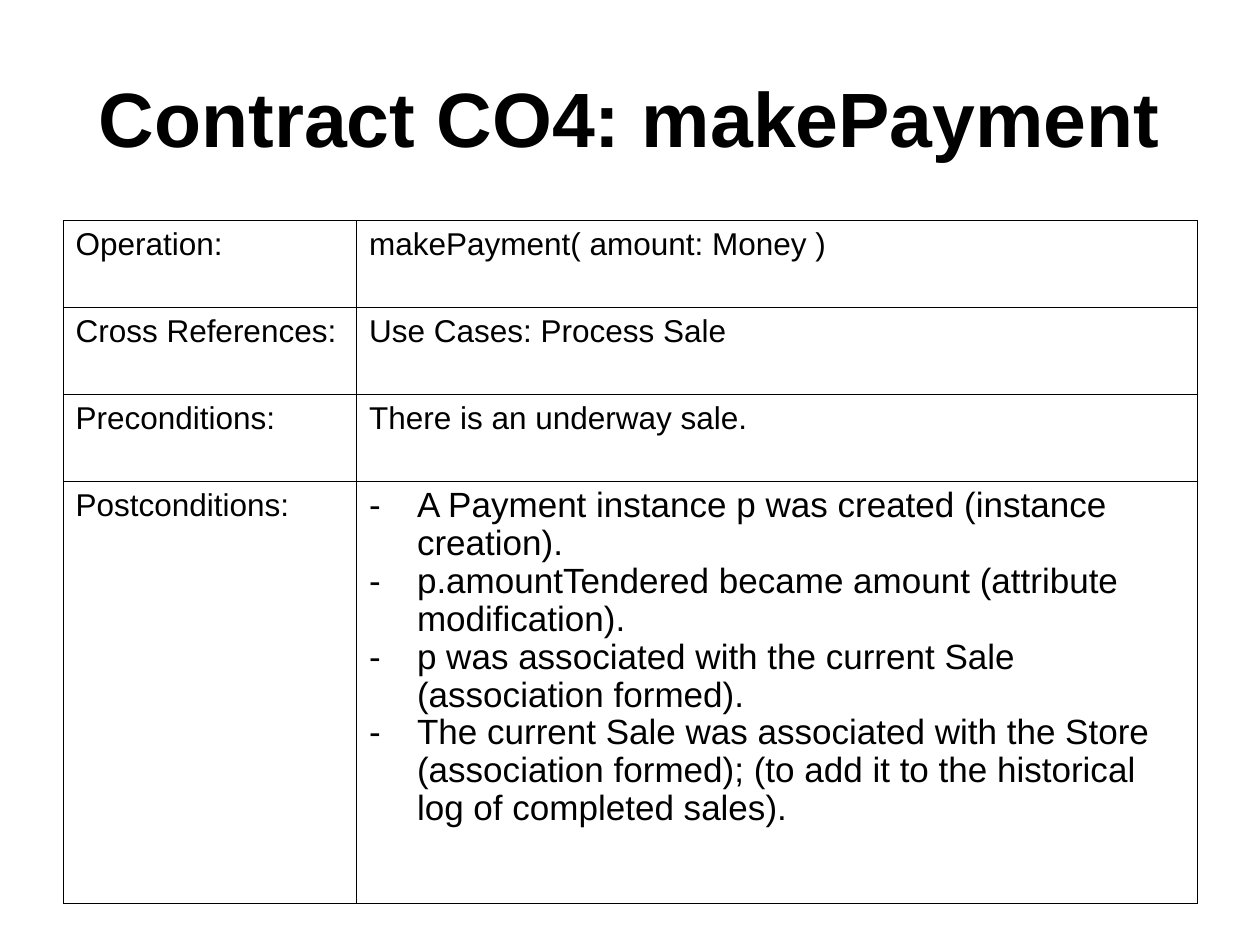
from lxml import etree
from pptx import Presentation
from pptx.dml.color import RGBColor
from pptx.enum.text import MSO_ANCHOR, PP_ALIGN
from pptx.oxml.ns import qn
from pptx.util import Inches, Pt

CENTER = PP_ALIGN.CENTER
MIDDLE = MSO_ANCHOR.MIDDLE
BLACK = RGBColor(0, 0, 0)
FONT = "Arial"
BORDER_WIDTH = Pt(0.45)
HANGING = Inches(0.38)

TITLE = "Contract CO4: makePayment"
CONTRACT = [
    ("Operation:", "makePayment( amount: Money )"),
    ("Cross References:", "Use Cases: Process Sale"),
    ("Preconditions:", "There is an underway sale."),
    ("Postconditions:", [
        "A Payment instance p was created (instance creation).",
        "p.amountTendered became amount (attribute modification).",
        "p was associated with the current Sale (association formed).",
        "The current Sale was associated with the Store (association formed); "
        "(to add it to the historical log of completed sales).",
    ]),
]
COLUMN_WIDTHS = [2.33, 6.67]
ROW_HEIGHTS = [0.69, 0.69, 0.69, 3.35]


def style_font(paragraph, size, bold=False):
    paragraph.font.name = FONT
    paragraph.font.size = Pt(size)
    paragraph.font.bold = bold
    paragraph.font.color.rgb = BLACK


def add_dash(paragraph):
    properties = paragraph._p.get_or_add_pPr()
    properties.set("marL", str(HANGING))
    properties.set("indent", str(-HANGING))
    color = etree.SubElement(properties, qn("a:buClr"))
    etree.SubElement(color, qn("a:srgbClr"), val=str(BLACK))
    etree.SubElement(properties, qn("a:buFont"), typeface=FONT)
    etree.SubElement(properties, qn("a:buChar"), char="-")


def add_borders(cell):
    properties = cell._tc.get_or_add_tcPr()
    for side in ("lnL", "lnR", "lnT", "lnB"):
        line = etree.SubElement(properties, qn(f"a:{side}"), w=str(BORDER_WIDTH))
        fill = etree.SubElement(line, qn("a:solidFill"))
        etree.SubElement(fill, qn("a:srgbClr"), val=str(BLACK))


def fill_cell(cell, content):
    add_borders(cell)
    cell.fill.background()
    is_list = isinstance(content, list)
    lines = content if is_list else [content]
    cell.text = "\n".join(lines)
    for paragraph in cell.text_frame.paragraphs:
        if is_list:
            paragraph.line_spacing = 0.97
            add_dash(paragraph)
        style_font(paragraph, 20 if is_list else 18)


def add_title(slide):
    box = slide.shapes.add_textbox(Inches(0.5), Inches(0.3), Inches(9), Inches(1.25))
    frame = box.text_frame
    frame.word_wrap = True
    frame.vertical_anchor = MIDDLE
    paragraph = frame.paragraphs[0]
    paragraph.text = TITLE
    paragraph.alignment = CENTER
    style_font(paragraph, 44, bold=True)


def add_contract(slide):
    table = slide.shapes.add_table(
        len(CONTRACT), len(COLUMN_WIDTHS), Inches(0.5), Inches(1.75),
        Inches(sum(COLUMN_WIDTHS)), Inches(sum(ROW_HEIGHTS))).table
    table.first_row = False
    table.horz_banding = False
    for column, width in zip(table.columns, COLUMN_WIDTHS):
        column.width = Inches(width)
    for row, height, contents in zip(table.rows, ROW_HEIGHTS, CONTRACT):
        row.height = Inches(height)
        for cell, content in zip(row.cells, contents):
            fill_cell(cell, content)


def main():
    presentation = Presentation()
    presentation.slide_width = Inches(10)
    presentation.slide_height = Inches(7.5)
    slide = presentation.slides.add_slide(presentation.slide_layouts[6])
    add_title(slide)
    add_contract(slide)
    presentation.save("out.pptx")


if __name__ == "__main__":
    main()
